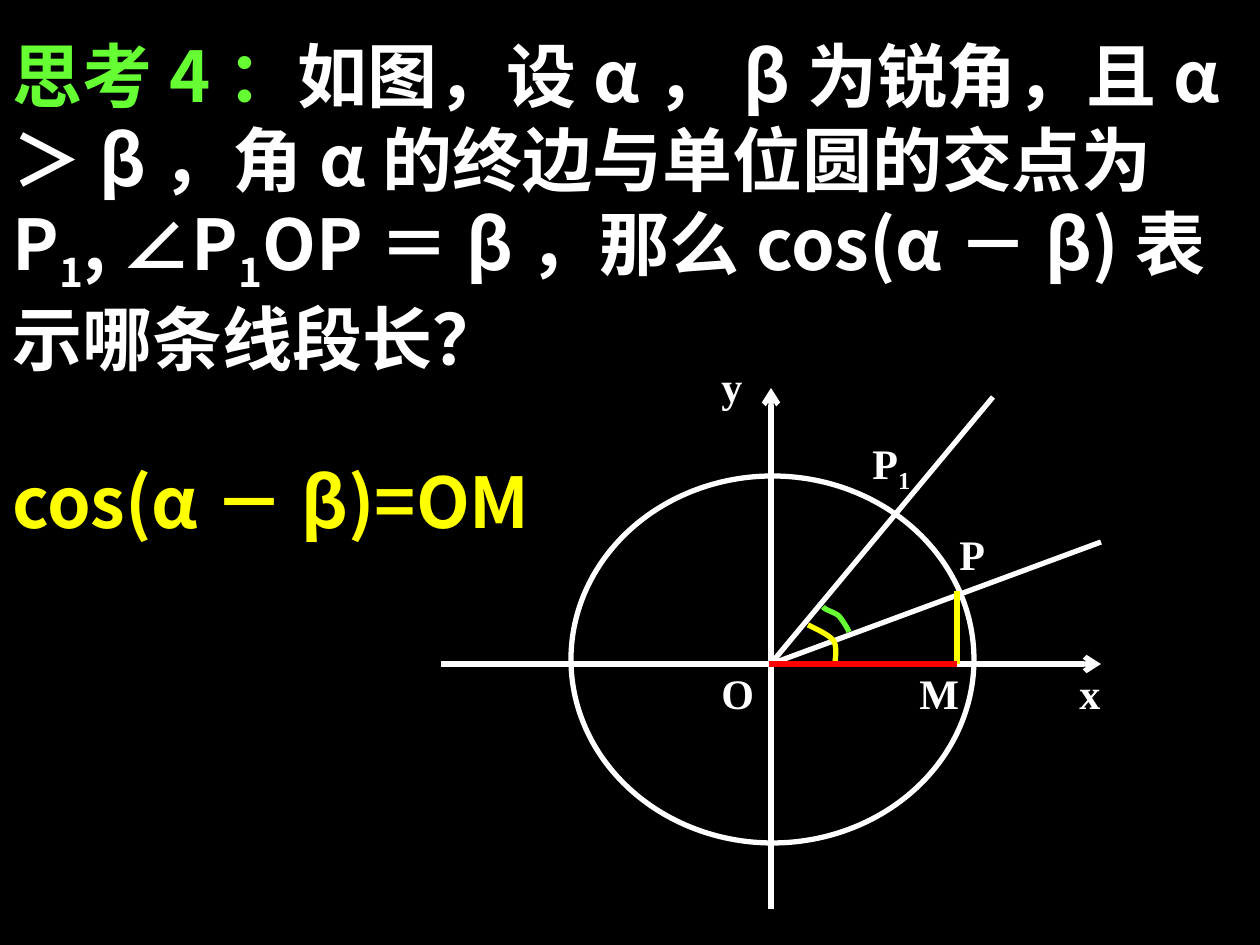
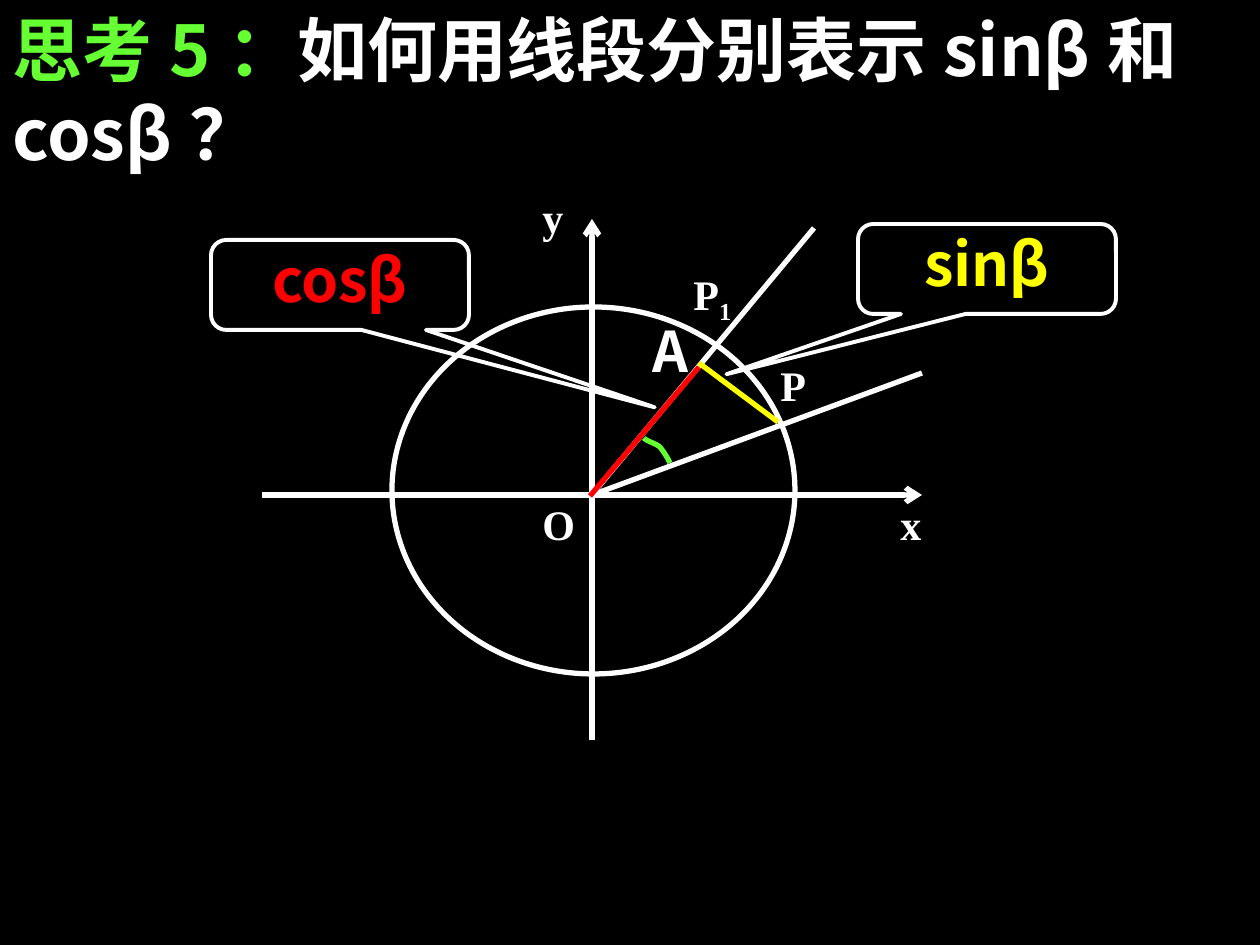
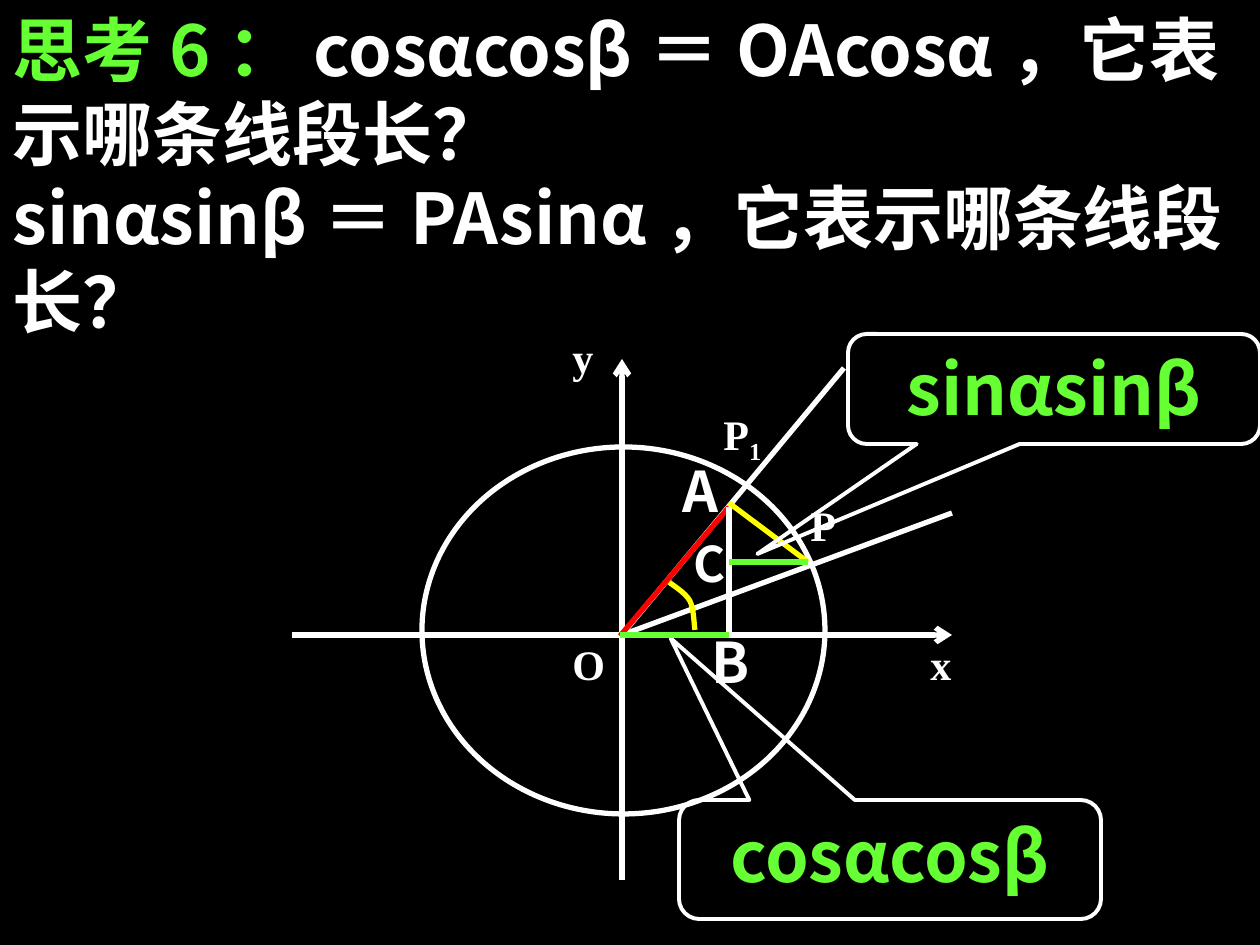
from lxml.etree import SubElement
from pptx import Presentation
from pptx.dml.color import RGBColor
from pptx.enum.shapes import MSO_CONNECTOR, MSO_SHAPE
from pptx.enum.text import MSO_ANCHOR, MSO_AUTO_SIZE, PP_ALIGN
from pptx.oxml.ns import qn
from pptx.util import Pt

BLACK = RGBColor(0x00, 0x00, 0x00)
WHITE = RGBColor(0xFF, 0xFF, 0xFF)
GREEN = RGBColor(0x66, 0xFF, 0x33)
YELLOW = RGBColor(0xFF, 0xFF, 0x00)
RED = RGBColor(0xFF, 0x00, 0x00)

SANS = "Noto Sans CJK SC"
SERIF = "Times New Roman"
EMU_PER_PX = 914400 / 126


def emu(*lengths):
    return [round(length * EMU_PER_PX) for length in lengths]


def bezier(p0, p1, p2, p3, steps=8):
    """Points along a cubic curve, without its start."""
    for i in range(1, steps + 1):
        t = i / steps
        u = 1 - t
        yield tuple(u**3 * a + 3 * u * u * t * b + 3 * u * t * t * c + t**3 * d
                    for a, b, c, d in zip(p0, p1, p2, p3))


class Deck:
    """Slides on black; places are px from the current origin."""

    def __init__(self):
        self.prs = Presentation()
        self.prs.slide_width, self.prs.slide_height = emu(1260, 945)
        fill = self.prs.slide_master.background.fill
        fill.solid()
        fill.fore_color.rgb = BLACK

    def at(self, x, y):
        return emu(x + self.ox, y + self.oy)

    def new_slide(self, heading, lines, top, height):
        self.s = self.prs.slides.add_slide(self.prs.slide_layouts[5])
        self.ox = self.oy = 0
        sp = self.s.shapes.title
        sp.left, sp.top, sp.width, sp.height = emu(0, top, 1260, height)
        tf = sp.text_frame
        tf.auto_size = MSO_AUTO_SIZE.NONE
        tf.vertical_anchor = MSO_ANCHOR.TOP
        for i, line in enumerate(lines):
            p = tf.paragraphs[0] if i == 0 else tf.add_paragraph()
            self.style(p, 40, WHITE)
            if i == 0:
                self.add_runs(p, heading, GREEN)
            self.add_runs(p, line)

    def style(self, p, size, color, font=SANS, align=PP_ALIGN.LEFT):
        p.alignment = align
        p.font.size = Pt(size)
        p.font.bold = True
        p.font.color.rgb = color
        p.font.name = font
        SubElement(p._p.pPr.find(qn("a:defRPr")), qn("a:ea"), typeface=font)

    def add_runs(self, p, text, color=None):
        """Add runs; the character after each underscore is a subscript."""
        first, *rest = text.split("_")
        pieces = [(first, False)]
        for part in rest:
            pieces += [(part[0], True), (part[1:], False)]
        for piece, is_sub in pieces:
            if not piece:
                continue
            r = p.add_run()
            r.text = piece
            if color is not None:
                r.font.color.rgb = color
            if is_sub:
                r.font._element.set("baseline", "-25000")

    def text(self, text, x, y, w, h, size=32, color=WHITE, font=SANS):
        sp = self.s.shapes.add_textbox(*self.at(x, y), *emu(w, h))
        tf = sp.text_frame
        tf.word_wrap = True
        self.style(tf.paragraphs[0], size, color, font)
        self.add_runs(tf.paragraphs[0], text)

    def line(self, start, end, color=WHITE, arrow=False):
        c = self.s.shapes.add_connector(
            MSO_CONNECTOR.STRAIGHT, *self.at(*start), *self.at(*end))
        c.line.color.rgb = color
        c.line.width = Pt(3)
        if arrow:
            SubElement(c.line._get_or_add_ln(), qn("a:tailEnd"), type="arrow")
        SubElement(c._element.spPr, qn("a:effectLst"))

    def outline(self, sp, color, width):
        sp.shadow.inherit = False
        sp.fill.background()
        sp.line.color.rgb = color
        sp.line.width = Pt(width)

    def arc(self, color, start, *curves):
        points = [start]
        for curve in curves:
            points += bezier(points[-1], *curve)
        points = [self.at(*point) for point in points]
        builder = self.s.shapes.build_freeform(*points[0])
        builder.add_line_segments(points[1:], close=False)
        self.outline(builder.convert_to_shape(), color, 3)

    def beta_arc(self):
        self.arc(GREEN, (52, -57), ((54, -54), (63, -52), (68, -48)),
                 ((72, -43), (77, -35), (78, -32)))

    def callout(self, text, x, y, w, h, tip, color, size, spacing=1.0):
        sp = self.s.shapes.add_shape(
            MSO_SHAPE.ROUNDED_RECTANGULAR_CALLOUT, *self.at(x, y), *emu(w, h))
        self.outline(sp, WHITE, 2.25)
        for i, value in enumerate(tip):
            sp.adjustments[i] = value
        tf = sp.text_frame
        tf.word_wrap = True
        tf.vertical_anchor = MSO_ANCHOR.TOP
        p = tf.paragraphs[0]
        self.style(p, size, color, align=PP_ALIGN.CENTER)
        p.line_spacing = spacing
        self.add_runs(p, text)

    def unit_circle(self, ox, oy):
        """Draw axes, circle and both rays, and move the origin to O."""
        self.ox, self.oy = ox, oy
        self.line((-330, 0), (330, 0), arrow=True)
        self.line((0, 245), (0, -276), arrow=True)
        self.line((0, 0), (330, -122))
        self.line((-2, 2), (222, -267))
        for name, x, y, w, h in (("P", 176, -142, 78, 64),
                                 ("P_1", 89, -233, 96, 74),
                                 ("O", -62, -3, 71, 69),
                                 ("x", 296, -3, 81, 76),
                                 ("y", -62, -310, 81, 69)):
            self.text(name, x, y, w, h, 24, font=SERIF)
        circle = self.s.shapes.add_shape(
            MSO_SHAPE.OVAL, *self.at(-200, -188), *emu(403, 367))
        self.outline(circle, WHITE, 3)

    def triangle_oap(self):
        """Segments PA and OA, with the foot A of the perpendicular."""
        self.line((107, -132), (186, -73), YELLOW)
        self.text("A", 48, -185, 90, 81)
        self.line((107, -128), (-2, 1), RED)


def main():
    deck = Deck()

    # cos(α－β) as the segment OM
    deck.new_slide("思考4：", [
        "如图，设α，β为锐角，且α＞β，角α的终边与单位圆的交点为"
        "P_1, ∠P_1OP＝β，那么cos(α－β)表示哪条线段长？"], 26, 360)
    deck.text("cos(α－β)=OM", 0, 452, 571, 97, 40, YELLOW)
    deck.unit_circle(771, 664)
    deck.line((186, -73), (186, 0), YELLOW)
    deck.text("M", 136, -3, 79, 69, 24, font=SERIF)
    deck.beta_arc()
    deck.arc(YELLOW, (37, -39), ((41, -37), (57, -30), (62, -24)),
             ((67, -18), (64, -5), (64, 0)))
    deck.line((-2, 0), (186, 0), RED)

    # sinβ and cosβ as segments
    deck.new_slide("思考5：", ["如何用线段分别表示sinβ和cosβ？"], 0, 181)
    deck.unit_circle(592, 495)
    deck.beta_arc()
    deck.triangle_oap()
    deck.callout("sinβ", 266, -271, 258, 90, (-1.01, 1.17, 0.17), YELLOW, 34, 0.9)
    deck.callout("cosβ", -381, -255, 258, 90, (1.22, 1.36, 0.17), RED, 34, 0.9)

    # The two products as segments
    deck.new_slide("思考6：", ["cosαcosβ＝OAcosα，它表示哪条线段长？",
                             "sinαsinβ＝PAsinα，它表示哪条线段长？"], 0, 349)
    deck.unit_circle(622, 635)
    deck.arc(YELLOW, (47, -53), ((50, -50), (63, -43), (68, -34)),
             ((72, -26), (72, -11), (73, -5)))
    deck.triangle_oap()
    deck.callout("sinαsinβ", 226, -301, 412, 110, (-0.72, 1.5, 0.17), GREEN, 40)
    deck.callout("cosαcosβ", 57, 165, 422, 119, (-0.52, -1.86, 0.17), GREEN, 40)
    deck.line((107, -128), (107, 0))
    deck.text("B", 77, -14, 90, 81)
    deck.line((-2, 0), (107, 0), GREEN)
    deck.line((107, -73), (186, -73), GREEN)
    deck.text("C", 59, -108, 90, 72, 28)

    deck.prs.save("out.pptx")


if __name__ == "__main__":
    main()
